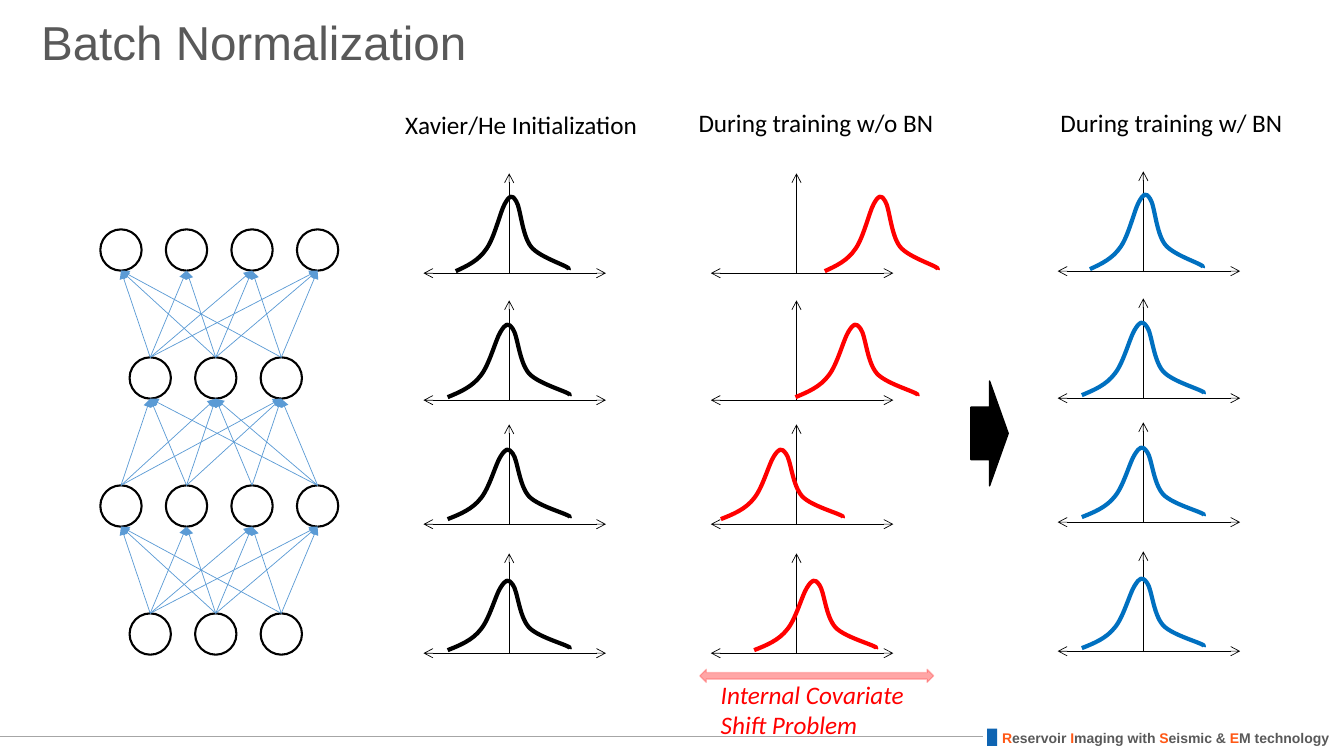
from pptx import Presentation
from pptx.dml.color import RGBColor
from pptx.enum.shapes import MSO_CONNECTOR, MSO_SHAPE
from pptx.enum.text import MSO_ANCHOR
from pptx.oxml.ns import qn
from pptx.util import Inches, Pt
from lxml import etree

STRAIGHT = MSO_CONNECTOR.STRAIGHT
OVAL, RECT = MSO_SHAPE.OVAL, MSO_SHAPE.RECTANGLE
RIGHT_ARROW, DOUBLE_ARROW = MSO_SHAPE.RIGHT_ARROW, MSO_SHAPE.LEFT_RIGHT_ARROW
MIDDLE, TOP = MSO_ANCHOR.MIDDLE, MSO_ANCHOR.TOP

# Content
BLACK, GREY, RED, BLUE = "000000", "595959", "FF0000", "0070C0"
ORANGE, EDGE_BLUE = "FF5815", "5B9BD5"
TITLE = "Batch Normalization"
FOOTER = [("R", ORANGE), ("eservoir ", GREY), ("I", ORANGE), ("maging with ", GREY),
          ("S", ORANGE), ("eismic & ", GREY), ("E", ORANGE), ("M technology", GREY)]
PROBLEM = "Internal Covariate Shift Problem"

# Network layers from bottom to top: node count, first centre
LAYERS = [(3, 1.49), (4, 1.2), (3, 1.49), (4, 1.2)]
MISSING_EDGES = [(2, 1), (2, 0), (2, 1)]  # lower node, upper node, per gap
NODE_SIZE, NODE_STEP = 0.41, 0.65
BOTTOM_LAYER, LAYER_STEP = 6.29, 1.27

# Plot columns: heading, its left and top, axis left, lift, colour, bell offsets
COLUMNS = [
    ("Xavier/He Initialization", 3.92, 1.04, 4.2, 0, BLACK, (0.32, 0.24, 0.24, 0.24)),
    ("During training w/o BN", 6.83, 1.02, 7.05, 0, RED, (1.13, 0.84, 0.1, 0.43)),
    ("During training w/ BN", 10.42, 1.02, 10.49, 0.02, BLUE, (0.32, 0.24, 0.24, 0.24)),
]
# Plot rows: axis height on the slide, gap under the bell, bell width and height
ROWS = [(2.71, 0.02, 1.13, 0.74), (3.97, 0.03, 1.22, 0.72),
        (5.2, 0.05, 1.22, 0.69), (6.48, 0.03, 1.22, 0.69)]
AXIS_WIDTH, AXIS_HEIGHT, ORIGIN = 1.81, 0.99, 0.85

# Bell as cubic curves, in shares of its width and height
BELL_START = (0, 0)
BELL = [((0.1, 0.07), (0.2, 0.14), (0.27, 0.3)),
        ((0.34, 0.45), (0.39, 0.79), (0.43, 0.9)),
        ((0.47, 1.01), (0.49, 1.04), (0.53, 0.94)),
        ((0.57, 0.85), (0.58, 0.49), (0.66, 0.33)),
        ((0.74, 0.17), (1.04, 0.05), (0.99, 0.02))]

deck = Presentation()
deck.slide_width, deck.slide_height = Inches(13.33), Inches(7.5)
slide = deck.slides.add_slide(deck.slide_layouts[6])
shapes = slide.shapes


def color(value):
    return RGBColor.from_string(value)


def set_alpha(fill_parent, percent):
    srgb = fill_parent.find(qn("a:solidFill")).find(qn("a:srgbClr"))
    etree.SubElement(srgb, qn("a:alpha")).set("val", str(percent * 1000))


def write(text, box, size=18, font="Calibri", fill=BLACK, bold=False, italic=False,
          anchor=TOP, wrap=True, spacing=None):
    """Text is a string, or a list of (string, colour) runs."""
    frame = shapes.add_textbox(*map(Inches, box)).text_frame
    frame.word_wrap, frame.vertical_anchor = wrap, anchor
    paragraph = frame.paragraphs[0]
    if spacing:
        paragraph.line_spacing = spacing
    for words, ink in [(text, fill)] if isinstance(text, str) else text:
        run = paragraph.add_run()
        run.text = words
        run.font.size, run.font.name = Pt(size), font
        run.font.bold, run.font.italic = bold, italic
        run.font.color.rgb = color(ink)


def style(shape, fill=None, line=None, width=1.0):
    shape.shadow.inherit = False
    if fill:
        shape.fill.solid()
        shape.fill.fore_color.rgb = color(fill)
    else:
        shape.fill.background()
    if line:
        shape.line.color.rgb = color(line)
        shape.line.width = Pt(width)
    else:
        shape.line.fill.background()
    return shape


def draw(kind, box, **look):
    return style(shapes.add_shape(kind, *map(Inches, box)), **look)


def connect(start, end, ink, head=None, tail=None):
    link = shapes.add_connector(STRAIGHT, *map(Inches, (*start, *end)))
    link.line.color.rgb = color(ink)
    link.line.width = Pt(0.5)
    outline = link.line._get_or_add_ln()
    for tag, arrow in (("a:headEnd", head), ("a:tailEnd", tail)):
        if arrow:
            etree.SubElement(outline, qn(tag)).set("type", arrow)
    etree.SubElement(link._element.spPr, qn("a:effectLst"))


def draw_bell(left, bottom, width, height, ink):
    def place(point):
        return Inches(left + point[0] * width), Inches(bottom - point[1] * height)

    outline = shapes.build_freeform(*place(BELL_START))
    outline.add_line_segments([place(curve[-1]) for curve in BELL], close=False)
    bell = style(outline.convert_to_shape(), line=ink, width=3)
    # Bend each straight segment into its cubic curve
    segments = list(bell._element.spPr.iter(qn("a:lnTo")))
    for segment, curve in zip(segments, BELL):
        bend = etree.Element(qn("a:cubicBezTo"))
        for x, y in map(place, curve):
            point = etree.SubElement(bend, qn("a:pt"))
            point.set("x", str(x - bell.left))
            point.set("y", str(y - bell.top))
        segment.getparent().replace(segment, bend)


# Title and footer
write(FOOTER, (9.84, 7.19, 3.48, 0.27), size=10, font="Arial", bold=True, wrap=False)
connect((9.75, 7.31), (0, 7.31), "A6A6A6")
draw(RECT, (9.79, 7.23, 0.1, 0.17), fill="0E64B2")
write(TITLE, (0.31, 0, 11.5, 0.89), size=34, font="Arial", fill=GREY,
      anchor=MIDDLE, spacing=0.9)

# Network nodes, then the edges between neighbouring layers
radius = NODE_SIZE / 2
network = [[(first + i * NODE_STEP, BOTTOM_LAYER - level * LAYER_STEP)
            for i in range(count)] for level, (count, first) in enumerate(LAYERS)]
for layer in network:
    for x, y in layer:
        draw(OVAL, (x - radius, y - radius, NODE_SIZE, NODE_SIZE), line=BLACK, width=1.5)
for lower, upper, missing in zip(network, network[1:], MISSING_EDGES):
    for i, (x1, y1) in enumerate(lower):
        for j, (x2, y2) in enumerate(upper):
            if (i, j) != missing:
                connect((x1, y1 - radius), (x2, y2 + radius), EDGE_BLUE, tail="triangle")

# Distribution plots
for heading, heading_left, heading_top, left, lift, ink, offsets in COLUMNS:
    write(heading, (heading_left, heading_top, 3.06, 0.4))
    for (axis_y, gap, width, height), offset in zip(ROWS, offsets):
        base, origin = axis_y - lift, left + ORIGIN
        connect((left, base), (left + AXIS_WIDTH, base), BLACK, head="arrow", tail="arrow")
        connect((origin, base - AXIS_HEIGHT), (origin, base), BLACK, head="arrow")
        draw_bell(left + offset, base - gap, width, height, ink)

# Shift problem and the arrow to batch normalization
write(PROBLEM, (7.05, 6.69, 2.13, 0.71), fill=RED, italic=True)
shift = draw(DOUBLE_ARROW, (6.94, 6.64, 2.32, 0.13), fill=RED, line=RED)
set_alpha(shift._element.spPr, 35)
set_alpha(shift.line._get_or_add_ln(), 22)
draw(RIGHT_ARROW, (9.63, 3.78, 0.37, 1.04), fill=BLACK, line=BLACK)

deck.save("out.pptx")
